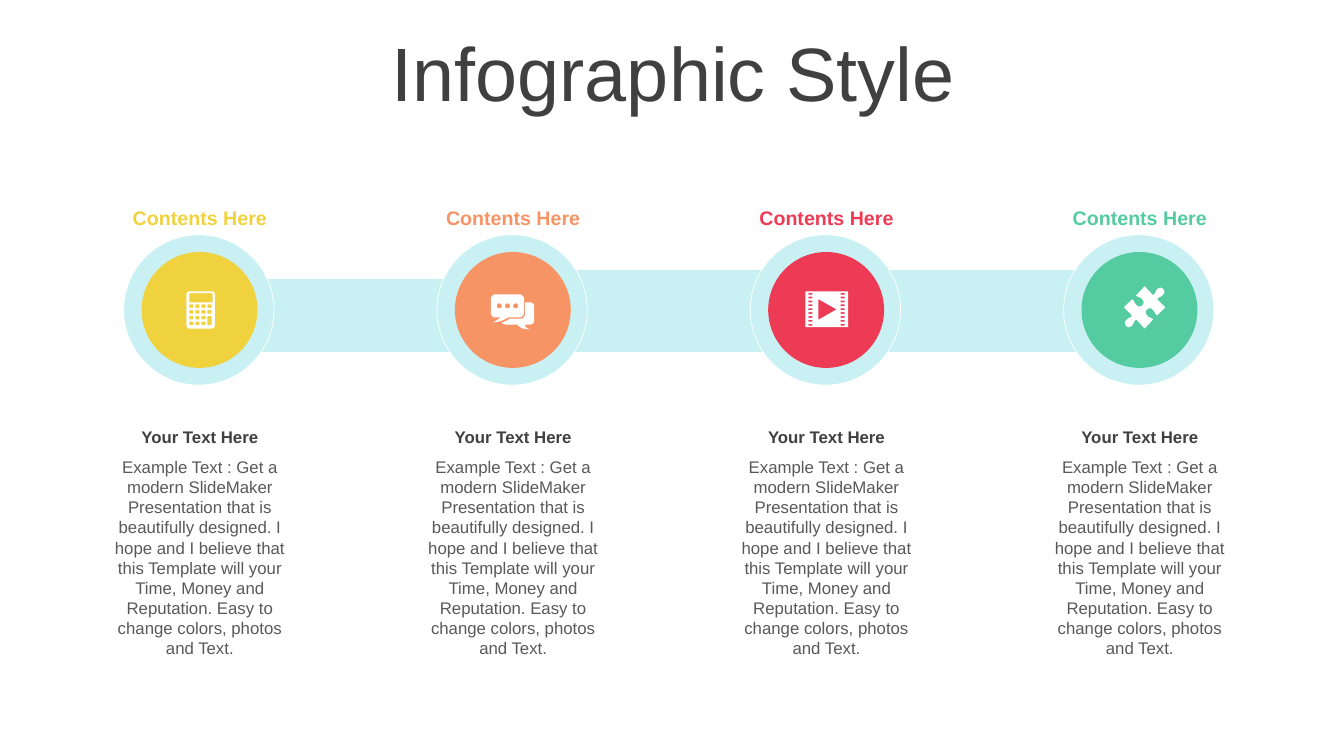
import math
import pptx
import pptx.util
import pptx.dml.color
import pptx.enum.shapes
import pptx.enum.text

Pt = pptx.util.Pt
SHAPE = pptx.enum.shapes.MSO_SHAPE
FIT = pptx.enum.text.MSO_AUTO_SIZE
ANCHOR = pptx.enum.text.MSO_ANCHOR

TITLE = "Infographic Style"
LABEL = "Contents Here"
HEAD = "Your Text Here"
BODY = ("Example Text : Get a modern SlideMaker Presentation that is "
        "beautifully designed. I hope and I believe that this Template will "
        "your Time, Money and Reputation. Easy to change colors, photos and "
        "Text.")
DARK, GREY, PALE, WHITE = "404040", "595959", "C9F1F3", "FFFFFF"
HUES = ["F0D23F", "F79465", "ED3B55", "54CBA0"]
BANDS = [(365, 192.2, 195.1, 59.8), (552.2, 192.2, 262.1, 59.8),
         (141.8, 198.7, 239.8, 53.3)]

LEFT, STEP, MID = 142.5, 223.8, 221.4
RING, DISC = 107.4, 82.8

# Outlines, measured from the disc's centre: a pair is a corner,
# six numbers are a Bezier curve.
FRONT = [(-12.1, -11.2), (4.5, -11.2), (6.5, -11.2, 8.1, -9.6, 8.1, -7.6),
         (8.1, 2), (8.1, 3.9, 6.5, 5.4, 4.5, 5.4), (-3.4, 5.4),
         (-7, 7.6, -8.5, 8.3, -14.2, 9), (-10.6, 6.8, -10.6, 6.8, -8.5, 5.4),
         (-12.1, 5.4), (-14.1, 5.4, -15.7, 3.9, -15.7, 2), (-15.7, -7.6),
         (-15.7, -9.6, -14.1, -11.2, -12.1, -11.2)]
BACK = [(8.8, -5.4), (12.4, -5.4), (13.9, -5.4, 15.3, -4.4, 15.3, -2.5),
        (15.3, 7.6), (15.3, 9.1, 13.9, 10.4, 12.4, 10.4), (8.8, 10.4),
        (8.8, 11.9, 8.8, 12.6, 12.4, 14), (6.7, 13.3, 5.9, 13.3, 3.1, 10.4),
        (-4.9, 10.4), (-6.3, 10.4, -7.6, 9.7, -7.8, 9),
        (-5.6, 8.3, -4.1, 7.6, -2, 6.2), (5.9, 6.2),
        (7.4, 6.2, 8.8, 4.8, 8.8, 2.5)]
HALF = [(13.3, -13), (14, -12.2, 14.8, -10.1, 13.3, -9.4),
        (11.9, -7.2, 10.4, -7.9, 9, -5.8), (14.8, 0), (9, 5.8),
        (6.8, 4.3, 7.6, 2.9, 5.4, 1.4), (4.7, 0, 2.5, 0.7, 1.8, 1.4),
        (0.4, 2.2, 0.4, 4.3, 1.8, 5.8), (3.2, 7.9, 4, 6.5, 6.1, 8.6),
        (0, 15.1), (-6.1, 8.6), (-8.3, 10.8, -7.6, 11.5, -9, 13),
        (-10.4, 14.4, -12.6, 14.4, -13.3, 13)]
PIECE = (3.7, -1.8)


def trace(path):
    """Turn corners and curves into a list of points."""
    pts = []
    for part in path:
        if len(part) == 2:
            pts.append(part)
            continue
        x0, y0 = pts[-1]
        x1, y1, x2, y2, x3, y3 = part
        for n in range(1, 9):
            t = n / 8
            a, b, c, d = (1-t)**3, 3*t*(1-t)**2, 3*t*t*(1-t), t**3
            pts.append((a*x0 + b*x1 + c*x2 + d*x3, a*y0 + b*y1 + c*y2 + d*y3))
    return pts


def block(x, y, w, h, r=0):
    """Points of a rectangle with corner radius r."""
    if not r:
        return [(x, y), (x + w, y), (x + w, y + h), (x, y + h)]
    hubs = block(x + r, y + r, w - 2*r, h - 2*r)
    return [(hx + r * math.cos(a), hy + r * math.sin(a))
            for q, (hx, hy) in enumerate(hubs)
            for a in (math.pi * (1 + q/2 + n/12) for n in range(7))]


def calc():
    keys = [block(-7.2 + 4.3*c, -4 + 4.15*r, 2.9, 2.5, 0.5)
            for r in range(4) for c in range(4) if c < 3 or r < 2]
    tall = block(5.7, 4.3, 2.9, 6.65, 0.5)
    return [block(-9.3, -13.3, 20.2, 26.6, 2.2),
            block(-7.2, -11.9, 16.6, 6.5, 0.7), tall] + keys


def chat():
    dots = [block(-11.4 + 5.85*n, -4.7, 3.6, 3.6, 1.8) for n in range(3)]
    return [trace(FRONT), trace(BACK)] + dots


def film():
    holes = [block(x, -12.2 + 2.77*n, 2.9, 1.2)
             for x in (-12.7, 10.4) for n in range(9)]
    play = [(-5.5, -7.7), (-5.5, 7), (7.5, -0.4)]
    return [block(-14.8, -13.3, 30.6, 25.6), play] + holes


def puzzle():
    """Upright piece, to be turned by 45 degrees."""
    half = trace(HALF)
    whole = half + [(-x, -y) for x, y in half[1:-1]]
    k = math.sqrt(0.5)
    return [[(PIECE[0] + k*(x + y), PIECE[1] + k*(y - x)) for x, y in whole]]


def tint(hue):
    return pptx.dml.color.RGBColor.from_string(hue)


def paint(shape, hue, edge=None):
    shape.shadow.inherit = False
    shape.fill.solid()
    shape.fill.fore_color.rgb = tint(hue)
    if edge:
        shape.line.color.rgb = tint(edge)
        shape.line.width = Pt(0.5)
    else:
        shape.line.fill.background()


def icon(x, y, loops, turn):
    """Draw closed loops as one white outline; inner loops are holes."""
    form = None
    for loop in loops:
        pts = [(round(100*(x + px)), round(100*(y + py))) for px, py in loop]
        if form is None:
            form = slide.shapes.build_freeform(*pts[0], scale=Pt(1) / 100)
        else:
            form.move_to(*pts[0])
        form.add_line_segments(pts[1:], close=True)
    shape = form.convert_to_shape()
    paint(shape, WHITE)
    shape.rotation = turn


def disc(x, size, hue, edge=None):
    shape = slide.shapes.add_shape(SHAPE.OVAL, Pt(x - size/2),
                                   Pt(MID - size/2), Pt(size), Pt(size))
    paint(shape, hue, edge)


def write(x, y, w, h, words, size, hue, bold=False):
    """Add centred text around the middle x."""
    box = slide.shapes.add_textbox(Pt(x - w/2), Pt(y), Pt(w), Pt(h))
    frame = box.text_frame
    frame.word_wrap = True
    frame.auto_size = FIT.SHAPE_TO_FIT_TEXT
    para = frame.paragraphs[0]
    para.alignment = pptx.enum.text.PP_ALIGN.CENTER
    run = para.add_run()
    run.text = words
    run.font.name = "Arial"
    run.font.size = Pt(size)
    run.font.bold = bold
    run.font.color.rgb = tint(hue)
    return frame


deck = pptx.Presentation()
deck.slide_width, deck.slide_height = Pt(960), Pt(540)
slide = deck.slides.add_slide(deck.slide_layouts[6])

title = write(481, 26.6, 911.5, 56.9, TITLE, 54, DARK)
title.auto_size = FIT.NONE
title.vertical_anchor = ANCHOR.MIDDLE
title.paragraphs[0].line_spacing = 0.9

for band in BANDS:
    bar = slide.shapes.add_shape(SHAPE.RECTANGLE, *map(Pt, band))
    paint(bar, PALE, WHITE)

icons = [(calc(), 0), (chat(), 0), (film(), 0), (puzzle(), 45)]
for n, (hue, (loops, turn)) in enumerate(zip(HUES, icons)):
    x = LEFT + n * STEP
    disc(x - 0.5, RING, PALE, WHITE)
    disc(x, DISC, hue)
    write(x + 0.3, 301, 153.4, 21.8, HEAD, 12, DARK, True)
    write(x + 0.3, 322.6, 153.4, 152.6, BODY, 12, GREY)
    write(x + 0.3, 143.3, 162.7, 24.2, LABEL, 14, hue, True)
    icon(x, MID, loops, turn)

deck.save("out.pptx")
